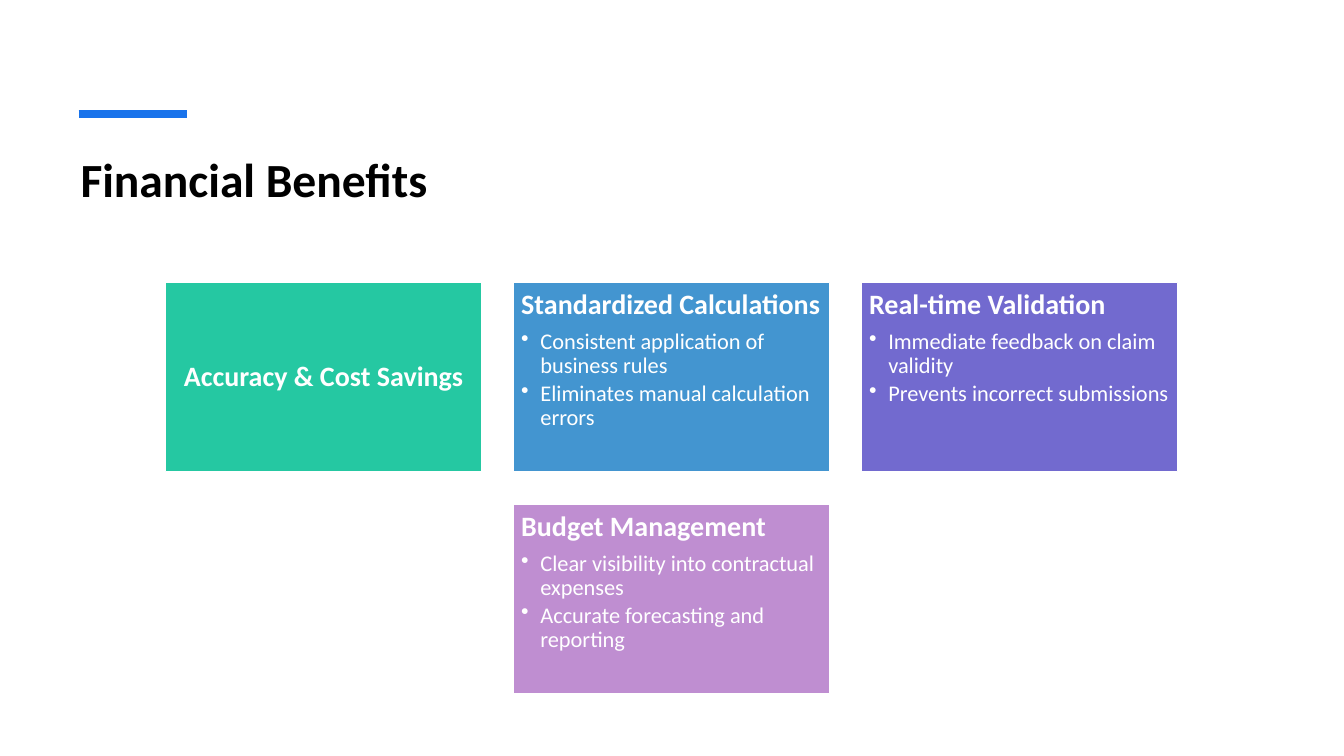
from dataclasses import dataclass

from lxml.etree import SubElement
from pptx import Presentation
from pptx.dml.color import RGBColor
from pptx.enum.shapes import MSO_CONNECTOR, MSO_SHAPE
from pptx.enum.text import MSO_ANCHOR, PP_ALIGN
from pptx.oxml.ns import qn
from pptx.util import Inches, Pt


@dataclass(frozen=True)
class Theme:
    font: str = "Calibri"
    ink: str = "000000"
    paper: str = "FFFFFF"
    accent: str = "1973EB"
    green: str = "25C8A2"
    blue: str = "4395D0"
    violet: str = "726ACF"
    mauve: str = "BF8ED1"
    title_size: int = 34
    heading_size: int = 20
    bullet_size: int = 16


class SlideBuilder:
    def __init__(self, page, theme):
        self.page = page
        self.theme = theme

    def format_para(self, para, size, color, bold=False, after=0):
        para.line_spacing = 0.9
        para.space_after = Pt(after)
        for span in para.runs:
            span.font.name = self.theme.font
            span.font.size = Pt(size)
            span.font.bold = bold
            span.font.color.rgb = RGBColor.from_string(color)

    def title(self, text, left, top, width, height):
        box = self.page.shapes.add_textbox(
            Inches(left), Inches(top), Inches(width), Inches(height))
        box.text_frame.word_wrap = True
        box.text_frame.text = text
        self.format_para(box.text_frame.paragraphs[0],
                         self.theme.title_size, self.theme.ink, bold=True)

    def rule(self, left, top, width, weight):
        line = self.page.shapes.add_connector(
            MSO_CONNECTOR.STRAIGHT, Inches(left), Inches(top),
            Inches(left + width), Inches(top))
        line.line.color.rgb = RGBColor.from_string(self.theme.accent)
        line.line.width = Pt(weight)
        SubElement(line.element.spPr, qn("a:effectLst"))

    def bullet(self, frame, text):
        para = frame.add_paragraph()
        para.text = text
        para.level = 1
        para.alignment = PP_ALIGN.LEFT
        properties = para._p.get_or_add_pPr()
        properties.set("marL", str(Inches(0.19)))
        properties.set("indent", str(-Inches(0.19)))
        SubElement(properties, qn("a:buChar"), char="•")
        self.format_para(para, self.theme.bullet_size, self.theme.paper, after=2.4)

    def card(self, heading, bullets, color, left, top, width, height):
        box = self.page.shapes.add_shape(
            MSO_SHAPE.RECTANGLE, Inches(left), Inches(top),
            Inches(width), Inches(height))
        box.shadow.inherit = False
        box.fill.solid()
        box.fill.fore_color.rgb = RGBColor.from_string(color)
        box.line.color.rgb = RGBColor.from_string(self.theme.paper)
        box.line.width = Pt(1)

        frame = box.text_frame
        frame.word_wrap = True
        frame.margin_left = frame.margin_right = Inches(0.08)
        frame.margin_top = frame.margin_bottom = Inches(0.08)
        frame.vertical_anchor = MSO_ANCHOR.TOP if bullets else MSO_ANCHOR.MIDDLE
        frame.text = heading
        para = frame.paragraphs[0]
        para.alignment = PP_ALIGN.LEFT if bullets else PP_ALIGN.CENTER
        self.format_para(para, self.theme.heading_size, self.theme.paper,
                         bold=True, after=7)
        for text in bullets:
            self.bullet(frame, text)


def main():
    deck = Presentation()
    deck.slide_width, deck.slide_height = Inches(13.33), Inches(7.5)
    theme = Theme()
    builder = SlideBuilder(deck.slides.add_slide(deck.slide_layouts[6]), theme)

    # Title with accent rule
    builder.title("Financial Benefits", 0.7, 1.5, 11.91, 1.2)
    builder.rule(0.78, 1.13, 1.07, 6)

    # Cards: column, row, colour, heading, bullets
    cards = [
        (0, 0, theme.green, "Accuracy & Cost Savings", []),
        (1, 0, theme.blue, "Standardized Calculations",
         ["Consistent application of business rules",
          "Eliminates manual calculation errors"]),
        (2, 0, theme.violet, "Real-time Validation",
         ["Immediate feedback on claim validity",
          "Prevents incorrect submissions"]),
        (1, 1, theme.mauve, "Budget Management",
         ["Clear visibility into contractual expenses",
          "Accurate forecasting and reporting"]),
    ]
    for column, row, color, heading, bullets in cards:
        builder.card(heading, bullets, color,
                     1.64 + 3.45 * column, 2.8 + 2.2 * row, 3.14, 1.88)

    deck.save("out.pptx")


if __name__ == "__main__":
    main()
